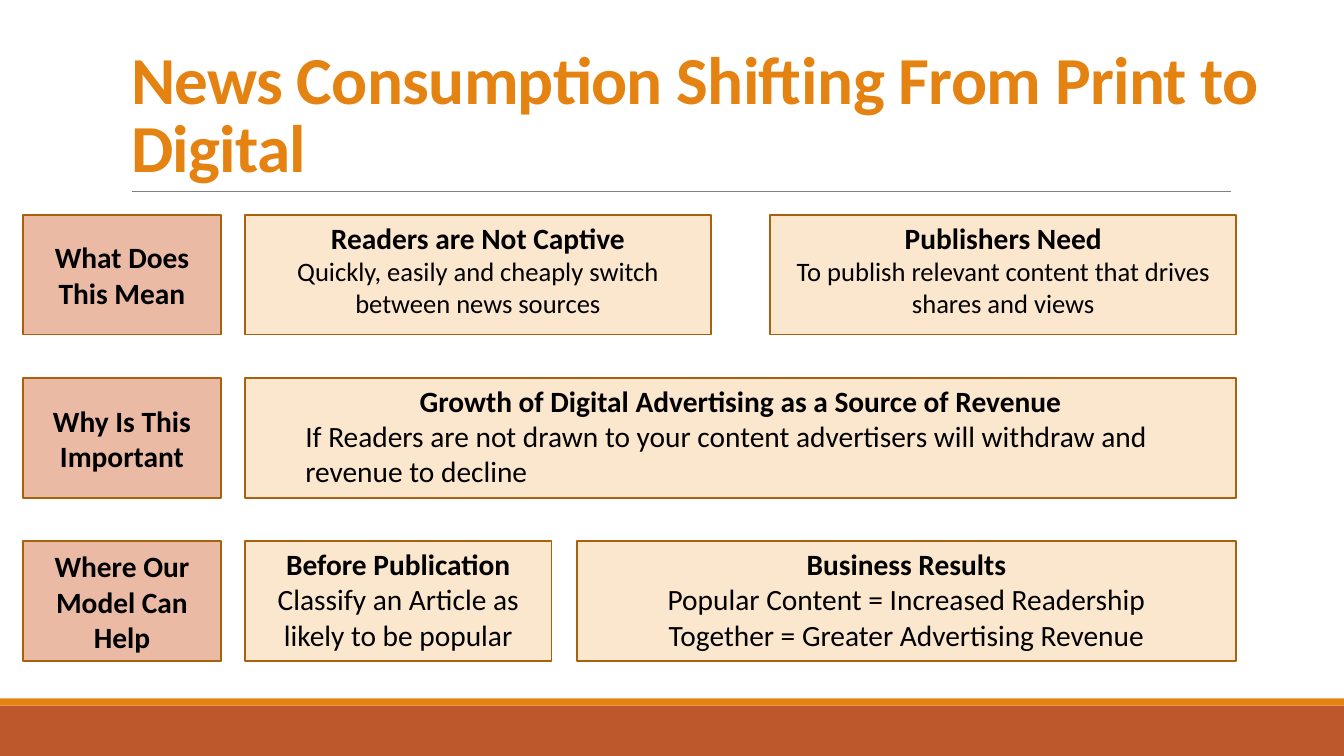
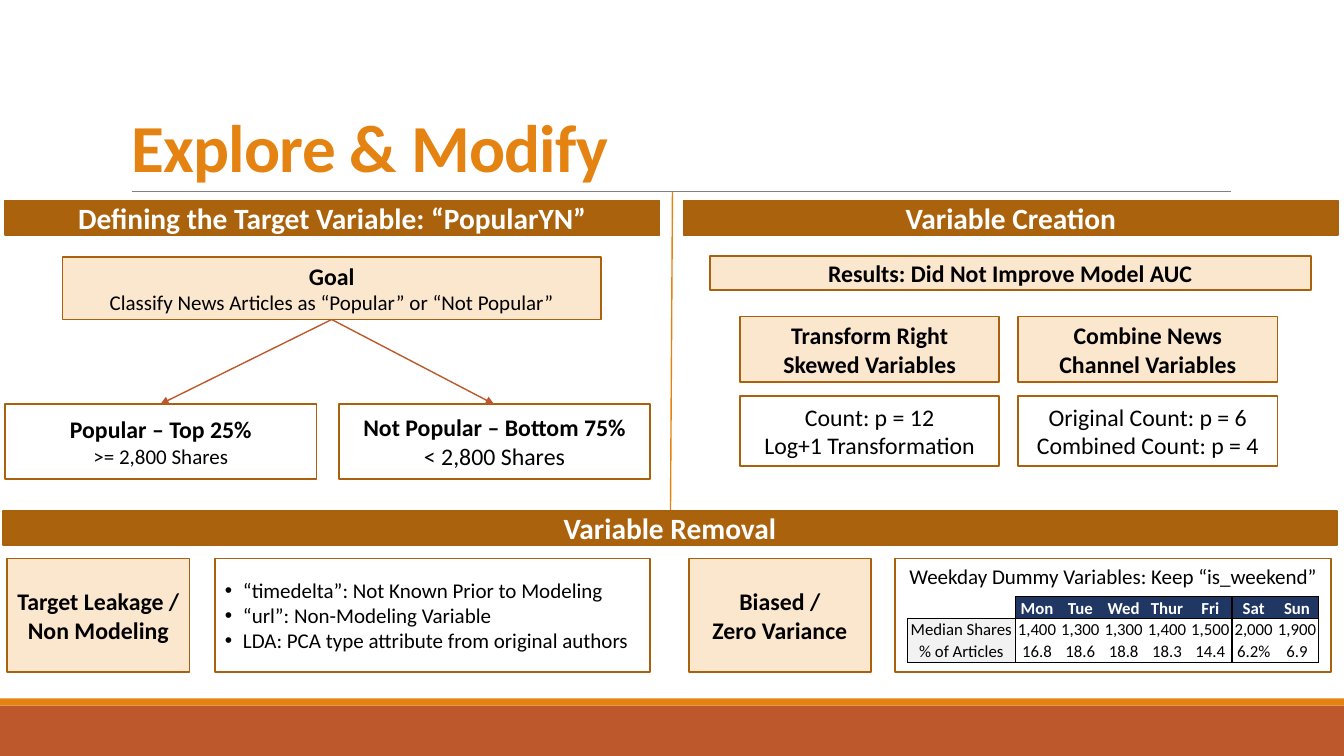
from dataclasses import dataclass

from lxml import etree
from pptx import Presentation
from pptx.dml.color import RGBColor
from pptx.enum.shapes import MSO_CONNECTOR, MSO_SHAPE
from pptx.enum.text import MSO_ANCHOR, MSO_AUTO_SIZE, PP_ALIGN
from pptx.oxml.ns import qn
from pptx.util import Pt

PX = 9144  # 100 px to the inch
RECTANGLE = MSO_SHAPE.RECTANGLE
STRAIGHT = MSO_CONNECTOR.STRAIGHT
TOP, MIDDLE, BOTTOM = MSO_ANCHOR.TOP, MSO_ANCHOR.MIDDLE, MSO_ANCHOR.BOTTOM
LEFT, CENTER = PP_ALIGN.LEFT, PP_ALIGN.CENTER
NO_FIT = MSO_AUTO_SIZE.NONE


@dataclass(frozen=True)
class Theme:
    font: str = "Calibri"
    orange: RGBColor = RGBColor(0xE4, 0x83, 0x12)
    rust: RGBColor = RGBColor(0xBD, 0x58, 0x2C)
    gray: RGBColor = RGBColor(0x80, 0x80, 0x80)
    cream: RGBColor = RGBColor(0xFB, 0xE6, 0xCE)
    salmon: RGBColor = RGBColor(0xEA, 0xBA, 0xA5)
    brown: RGBColor = RGBColor(0xAB, 0x62, 0x0D)
    outline: RGBColor = RGBColor(0xA9, 0x61, 0x0D)
    navy: RGBColor = RGBColor(0x20, 0x37, 0x64)
    pale: RGBColor = RGBColor(0xF2, 0xF2, 0xF2)
    white: RGBColor = RGBColor(0xFF, 0xFF, 0xFF)
    black: RGBColor = RGBColor(0, 0, 0)
    title: int = 48
    head: int = 21
    text: int = 19
    label: int = 17
    note: int = 15
    cell: int = 12


theme = Theme()


def add_box(page, place, fill, lines=(), anchor=MIDDLE, outline=theme.outline):
    """Draw a rectangle; each line of text is (words, size, bold)."""
    box = page.shapes.add_shape(RECTANGLE, *(n * PX for n in place))
    box.shadow.inherit = False
    box.fill.solid()
    box.fill.fore_color.rgb = fill
    if outline is None:
        box.line.fill.background()
    else:
        box.line.color.rgb = outline
        box.line.width = Pt(1.25)
    frame = box.text_frame
    frame.word_wrap = True
    frame.vertical_anchor = anchor
    for index, (words, size, bold) in enumerate(lines):
        para = frame.add_paragraph() if index else frame.paragraphs[0]
        para.text = words
        para.alignment = CENTER
        para.font.name = theme.font
        para.font.size = Pt(size)
        para.font.bold = bold
        para.font.color.rgb = theme.white if fill == theme.brown else theme.black
    return box


def add_line(page, ends, color, width, arrow=False):
    line = page.shapes.add_connector(STRAIGHT, *(n * PX for n in ends))
    line.line.color.rgb = color
    line.line.width = Pt(width)
    if arrow:
        etree.SubElement(line.line._get_or_add_ln(), qn("a:tailEnd"), type="triangle")
    etree.SubElement(line._element.spPr, qn("a:effectLst"))


deck = Presentation()
deck.slide_width, deck.slide_height = 1333 * PX, 750 * PX

# Shared frame: bands, rule and title
pages = []
for layout, title_width, words in (
    (5, 1199, "News Consumption Shifting From Print to Digital"),
    (1, 1100, "Explore & Modify"),
):
    page = deck.slides.add_slide(deck.slide_layouts[layout])
    add_box(page, (0, 700, 1333, 50), theme.rust, outline=None)
    add_box(page, (0, 693, 1333, 7), theme.orange, outline=None)
    add_line(page, (131, 190, 1221, 190), theme.gray, 0.5)
    title = page.shapes.title
    title.left, title.top = 120 * PX, 31 * PX
    title.width, title.height = title_width * PX, 159 * PX
    title.text_frame.auto_size = NO_FIT
    title.text_frame.vertical_anchor = BOTTOM
    para = title.text_frame.paragraphs[0]
    para.text = words
    para.alignment = LEFT
    para.line_spacing = 0.85
    para.font.name = theme.font
    para.font.size = Pt(theme.title)
    para.font.bold = True
    para.font.color.rgb = theme.orange
    para._p.pPr.find(qn("a:defRPr")).set("spc", "-50")
    pages.append(page)
news, explore = pages

# News slide: a label and its boxes (left, width, heading, text size, text) per row
rows = (
    ("What Does This Mean", (
        (243, 462, "Readers are Not Captive", theme.text,
         ["Quickly, easily and cheaply switch between news sources"]),
        (764, 462, "Publishers Need", theme.text,
         ["To publish relevant content that drives shares and views"]),
    )),
    ("Why Is This Important", (
        (243, 983, "Growth of Digital Advertising as a Source of Revenue", theme.head,
         ["If Readers are not drawn to your content advertisers will withdraw "
          "and revenue to decline"]),
    )),
    ("Where Our Model Can Help", (
        (243, 304, "Before Publication", theme.head,
         ["Classify an Article as likely to be popular"]),
        (572, 654, "Business Results", theme.head,
         ["Popular Content = Increased Readership",
          "Together = Greater Advertising Revenue"]),
    )),
)
for index, (label, boxes) in enumerate(rows):
    top = 213 + 162 * index
    add_box(news, (23, top, 196, 119), theme.salmon, [(label, theme.head, True)])
    for left, width, heading, size, texts in boxes:
        lines = [(heading, theme.head, True)] + [(words, size, False) for words in texts]
        box = add_box(news, (left, top, width, 119), theme.cream, lines, TOP)
        if width == 983:  # the full-width box has an indented text
            para = box.text_frame.paragraphs[1]
            para.alignment = LEFT
            para._p.pPr.set("marL", str(50 * PX))

# Explore slide: divider and section bars
add_line(explore, (667, 190, 665, 507), theme.orange, 1)
for place, words in (
    ((5, 199, 649, 34), "Defining the Target Variable: “PopularYN”"),
    ((678, 199, 649, 34), "Variable Creation"),
    ((3, 507, 1323, 34), "Variable Removal"),
):
    add_box(explore, place, theme.brown, [(words, theme.head, True)])

# Target variable: the goal splits in two
add_box(explore, (62, 255, 534, 62), theme.cream, [
    ("Goal", theme.label, True),
    ("Classify News Articles as “Popular” or “Not Popular”", theme.note, False)])
for left, tip, heading, size, words in (
    (5, 159, "Popular – Top 25%", theme.note, ">= 2,800 Shares"),
    (336, 490, "Not Popular – Bottom 75%", theme.label, "< 2,800 Shares"),
):
    add_box(explore, (left, 401, 309, 74), theme.white,
            [(heading, theme.label, True), (words, size, False)])
    add_line(explore, (329, 317, tip, 401), theme.rust, 1, arrow=True)

# Variable creation: result and two columns
add_box(explore, (704, 254, 596, 34), theme.cream,
        [("Results: Did Not Improve Model AUC", theme.label, True)])
for left, headings, texts in (
    (734, ("Transform Right", "Skewed Variables"),
     ("Count: p = 12", "Log+1 Transformation")),
    (1010, ("Combine News", "Channel Variables"),
     ("Original Count: p = 6", "Combined Count: p = 4")),
):
    add_box(explore, (left, 314, 257, 65), theme.cream,
            [(words, theme.label, True) for words in headings])
    add_box(explore, (left, 393, 257, 69), theme.white,
            [(words, theme.label, False) for words in texts])

# Variable removal: reasons
for left, reasons in (
    (7, ("Target Leakage /", "Non Modeling")),
    (683, ("Biased /", "Zero Variance")),
):
    add_box(explore, (left, 554, 181, 113), theme.cream,
            [(words, theme.label, True) for words in reasons])
add_box(explore, (888, 554, 432, 113), theme.white,
        [("Weekday Dummy Variables: Keep “is_weekend”", theme.note, False)], TOP)

# Variable removal: bulleted list
removed = explore.placeholders[1]
removed.left, removed.top = 213 * PX, 554 * PX
removed.width, removed.height = 432 * PX, 113 * PX
removed.fill.solid()
removed.fill.fore_color.rgb = theme.white
removed.line.color.rgb = theme.outline
removed.line.width = Pt(1.25)
frame = removed.text_frame
frame.auto_size = NO_FIT
frame.vertical_anchor = MIDDLE
frame.text = "\n".join((
    "“timedelta”: Not Known Prior to Modeling",
    "“url”: Non-Modeling Variable",
    "LDA: PCA type attribute from original authors",
))
for para in frame.paragraphs:
    para.space_before = Pt(0)
    para.font.name = theme.font
    para.font.size = Pt(theme.note)
    para.font.color.rgb = theme.black
    para._p.pPr.set("marL", str(18 * PX))
    para._p.pPr.set("indent", str(-18 * PX))

# Weekday table
weekdays = (
    ("", "Mon", "Tue", "Wed", "Thur", "Fri", "Sat", "Sun"),
    ("Median Shares", "1,400", "1,300", "1,300", "1,400", "1,500", "2,000", "1,900"),
    ("% of Articles", "16.8", "18.6", "18.8", "18.3", "14.4", "6.2%", "6.9"),
)
table = explore.shapes.add_table(3, 8, 900 * PX, 592 * PX, 408 * PX, 65 * PX).table
table.first_row = table.horz_banding = False
for index, column in enumerate(table.columns):
    column.width = (43 if index else 107) * PX
for y, texts in enumerate(weekdays):
    table.rows[y].height = (21 if y == 1 else 22) * PX
    for x, words in enumerate(texts):
        cell = table.cell(y, x)
        cell.margin_left = cell.margin_right = cell.margin_top = PX
        cell.margin_bottom = 0
        cell.vertical_anchor = MIDDLE
        header = y == 0 and x > 0
        cell.fill.solid()
        cell.fill.fore_color.rgb = (
            theme.navy if header else theme.pale if y and x == 0 else theme.white)
        para = cell.text_frame.paragraphs[0]
        para.text = words
        para.alignment = CENTER
        para.font.name = theme.font
        para.font.size = Pt(theme.cell)
        para.font.bold = header
        para.font.color.rgb = theme.white if header else theme.black
        # Rules frame the labels, the working days and the weekend
        edges = (
            ("a:lnL", x in (1, 6) or (x == 0 and y > 0)),
            ("a:lnR", x in (0, 5, 7)),
            ("a:lnT", y == 1 or header),
            ("a:lnB", y in (0, 2)),
        )
        for position, (tag, ruled) in enumerate(edges):
            edge = etree.Element(qn(tag), w=str(Pt(1)))
            paint = etree.SubElement(edge, qn("a:solidFill" if ruled else "a:noFill"))
            if ruled:
                etree.SubElement(paint, qn("a:srgbClr"), val=str(theme.black))
            cell._tc.get_or_add_tcPr().insert(position, edge)

deck.save("out.pptx")
